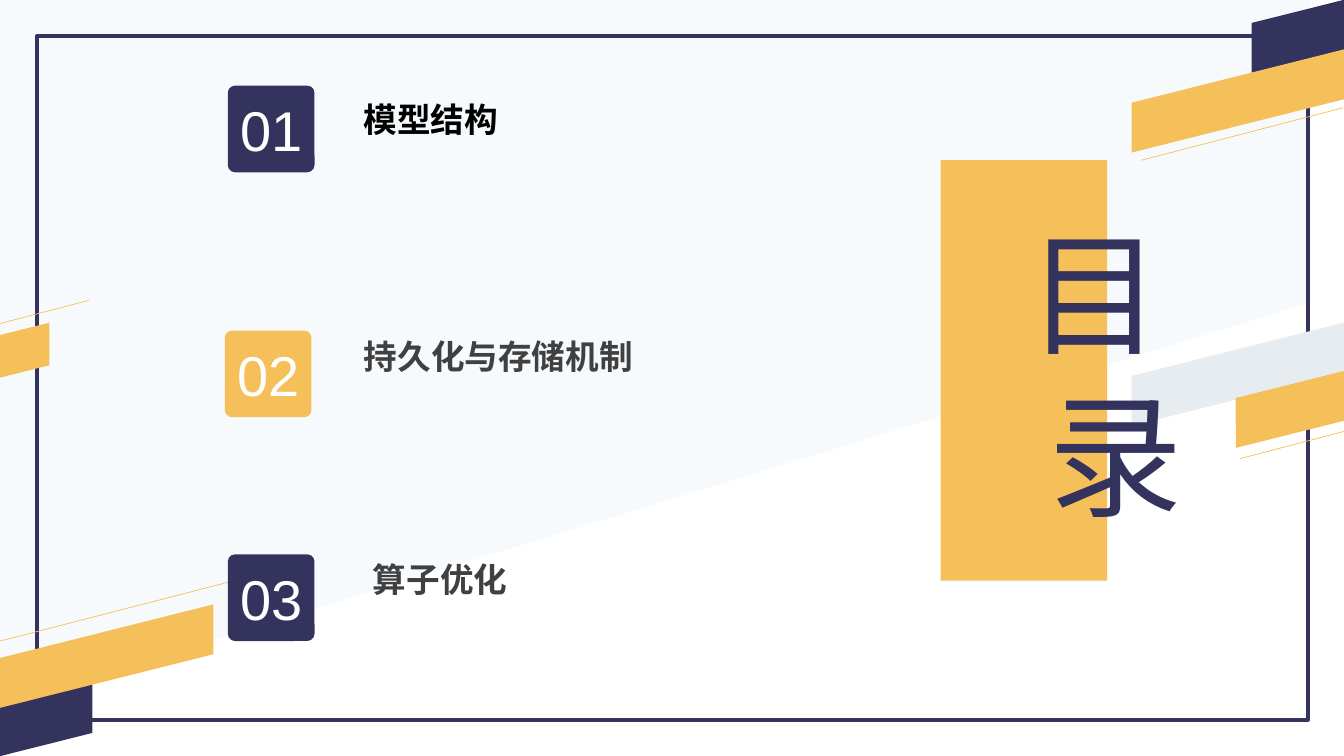
import pptx
import pptx.util
import pptx.dml.color
import pptx.enum.shapes
import pptx.enum.text
import pptx.oxml
import pptx.oxml.ns
from pptx.util import Inches

NAVY, GOLD, PALE, GREY, WHITE = "33335E", "F5C059", "F6FAFD", "E6ECF0", "FFFFFF"
SHAPES = pptx.enum.shapes.MSO_SHAPE
ALIGN = pptx.enum.text.PP_ALIGN
CHINESE = "Noto Sans CJK SC"


def color(value):
    return pptx.dml.color.RGBColor.from_string(value)


def fill_shape(shape, value):
    shape.shadow.inherit = False
    shape.fill.solid()
    shape.fill.fore_color.rgb = color(value)
    shape.line.fill.background()


def add_box(slide, kind, box, value):
    shape = slide.shapes.add_shape(kind, *map(Inches, box))
    fill_shape(shape, value)
    return shape


def style_paragraph(paragraph, text, size, name, value, alignment, bold=False, spacing=0):
    paragraph.text = text
    paragraph.alignment = alignment
    font = paragraph.font
    font.size = pptx.util.Pt(size)
    font.name = name
    font.bold = bold
    font.color.rgb = color(value)
    properties = paragraph._p.pPr.find(pptx.oxml.ns.qn("a:defRPr"))
    east_asian = pptx.oxml.parse_xml(
        f'<a:ea {pptx.oxml.ns.nsdecls("a")} typeface="{name}"/>')
    properties.append(east_asian)
    if spacing:
        properties.set("spc", str(spacing * 100))


def add_band(slide, box, value):
    band = add_box(slide, SHAPES.PARALLELOGRAM, box, value)
    band.rotation = 345.9


def add_thin_line(slide, start, end):
    line = slide.shapes.add_connector(
        pptx.enum.shapes.MSO_CONNECTOR.STRAIGHT, *map(Inches, start + end))
    line.line.color.rgb = color(GOLD)
    line.line.width = pptx.util.Pt(0.5)
    line._element.spPr.append(
        pptx.oxml.parse_xml(f'<a:effectLst {pptx.oxml.ns.nsdecls("a")}/>'))


def add_background(slide, width):
    builder = slide.shapes.build_freeform(0, 0, scale=Inches(1))
    builder.add_line_segments([(width, 0), (width, 3.17), (0, 6.78)], close=True)
    fill_shape(builder.convert_to_shape(), PALE)

    frame = add_box(slide, SHAPES.RECTANGLE, (0.37, 0.36, 12.6, 6.78), NAVY)
    frame.fill.background()
    frame.line.color.rgb = color(NAVY)
    frame.line.width = pptx.util.Pt(3)


def add_decoration(slide):
    bands = [
        (12.34, 0.12, 1.07, 0.48, NAVY),
        (11.13, 0.76, 2.31, 0.48, GOLD),
        (-0.08, 6.9, 1.07, 0.48, NAVY),
        (-0.1, 6.27, 2.31, 0.48, GOLD),
        (11.13, 3.47, 2.31, 0.48, GREY),
        (12.18, 3.82, 1.24, 0.48, GOLD),
        (-0.07, 3.27, 0.62, 0.41, GOLD),
    ]
    for *box, value in bands:
        add_band(slide, box, value)
    lines = [
        ((0, 6.36), (2.52, 5.71)),
        ((12.3, 4.55), (13.33, 4.28)),
        ((11.32, 1.59), (13.32, 1.07)),
        ((0, 3.21), (0.88, 2.98)),
    ]
    for start, end in lines:
        add_thin_line(slide, start, end)


def add_entry(slide, left, top, number, badge_color, text, text_box, text_color, alignment):
    badge = add_box(slide, SHAPES.ROUNDED_RECTANGLE, (left, top, 0.86, 0.86), badge_color)
    badge.adjustments[0] = 0.083
    badge.text_frame.vertical_anchor = pptx.enum.text.MSO_ANCHOR.MIDDLE
    style_paragraph(badge.text_frame.paragraphs[0], number, 40, "Arial", WHITE, ALIGN.CENTER)

    offset_x, offset_y, width = text_box
    label = slide.shapes.add_textbox(
        *map(Inches, (left + offset_x, top + offset_y, width, 0.5)))
    label.text_frame.word_wrap = False
    label.text_frame.auto_size = pptx.enum.text.MSO_AUTO_SIZE.SHAPE_TO_FIT_TEXT
    style_paragraph(label.text_frame.paragraphs[0], text, 24, CHINESE, text_color,
                    alignment, bold=True)


def add_title(slide, left, top):
    add_box(slide, SHAPES.RECTANGLE, (left, top, 1.65, 4.17), GOLD)
    title = slide.shapes.add_textbox(*map(Inches, (left + 0.26, top + 0.45, 2.95, 3.33)))
    frame = title.text_frame
    frame.word_wrap = True
    frame.auto_size = pptx.enum.text.MSO_AUTO_SIZE.SHAPE_TO_FIT_TEXT
    for paragraph, text in ((frame.paragraphs[0], "目 "), (frame.add_paragraph(), "录")):
        style_paragraph(paragraph, text, 96, CHINESE, NAVY, ALIGN.CENTER, spacing=8)


def main():
    presentation = pptx.Presentation()
    presentation.slide_width = Inches(13.33)
    presentation.slide_height = Inches(7.5)
    slide = presentation.slides.add_slide(presentation.slide_layouts[6])
    add_background(slide, 13.33)
    add_decoration(slide)
    entries = [
        (2.26, 0.85, "01", NAVY, "模型结构", (1.25, 0.08, 1.54), "000000", ALIGN.LEFT),
        (2.23, 3.28, "02", GOLD, "持久化与存储机制", (1.28, 0, 2.88), "404040", ALIGN.JUSTIFY),
        (2.26, 5.5, "03", NAVY, "算子优化", (1.34, 0, 1.54), "404040", ALIGN.JUSTIFY),
    ]
    for entry in entries:
        add_entry(slide, *entry)
    add_title(slide, 9.33, 1.59)
    presentation.save("out.pptx")


if __name__ == "__main__":
    main()
